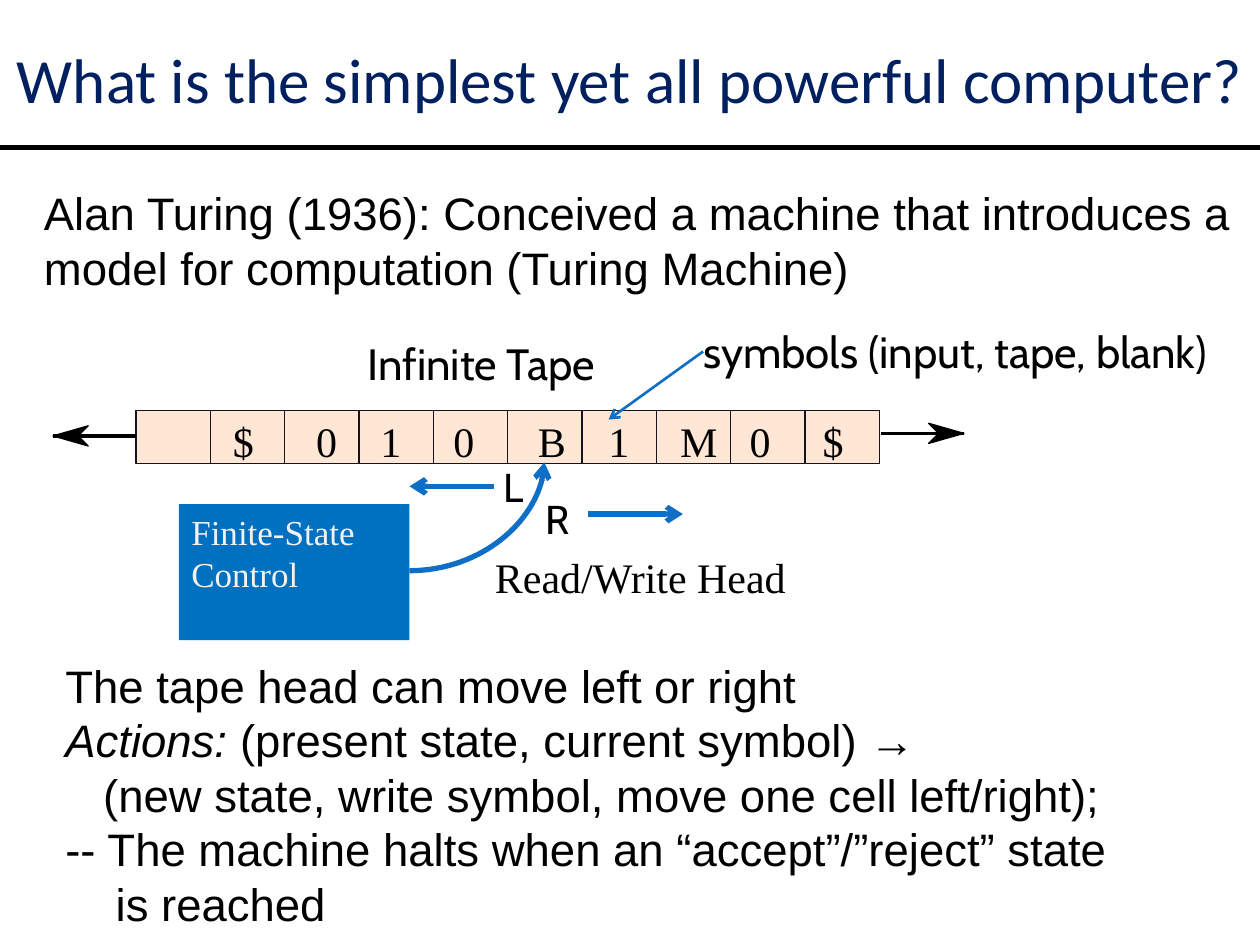
from lxml import etree
from pptx import Presentation
from pptx.dml.color import RGBColor
from pptx.enum.shapes import MSO_CONNECTOR, MSO_SHAPE
from pptx.enum.text import MSO_ANCHOR, PP_ALIGN
from pptx.oxml.ns import qn
from pptx.util import Inches, Pt

STRAIGHT, CURVE = MSO_CONNECTOR.STRAIGHT, MSO_CONNECTOR.CURVE
RECTANGLE = MSO_SHAPE.RECTANGLE
LEFT, CENTER, JUSTIFY = PP_ALIGN.LEFT, PP_ALIGN.CENTER, PP_ALIGN.JUSTIFY
TOP, MIDDLE = MSO_ANCHOR.TOP, MSO_ANCHOR.MIDDLE

COLORS = {
    "title": "002060", "text": "000000", "control": "0070C0", "control_text": "F2F2F2",
    "white": "FFFFFF", "arrow": "0F6FC6", "cell": "FFE6D5", "cell_line": "15111D",
}

# Content
TITLE = "What is the simplest yet all powerful computer?"
INTRO = ("Alan Turing (1936): Conceived a machine that introduces "
         "a model for computation (Turing Machine)")
# Tape symbols with the left edge of each
SYMBOLS = [("$", 1.85), ("0", 2.51), ("1", 3.02), ("0", 3.6), ("B", 4.27),
           ("1", 4.83), ("M", 5.4), ("0", 5.95), ("$", 6.53)]
# Labels: text, left, top, width, height, size
LABELS = [
    ("L", 4, 3.67, 0.33, 0.44, 23),
    ("R", 4.33, 3.92, 0.39, 0.44, 23),
    ("Infinite Tape", 2.92, 2.67, 1.88, 0.42, 25),
    ("symbols (input, tape, blank)", 5.58, 2.58, 4.29, 0.42, 25),
]
# Rules: indent, then runs of (text, italic)
RULES = [
    (0, [("The tape head can move left or right", False)]),
    (0, [("Actions: ", True), ("(present state, current symbol) →", False)]),
    (0.3, [("(new state, write symbol, move one cell left/right);", False)]),
    (0, [("-- The machine halts when an “accept”/”reject” state", False)]),
    (0.4, [("is reached", False)]),
]
# Arrows: kind, from, to, width
ARROWS = [
    (CURVE, (3.25, 4.53), (4.32, 3.67), 3),
    (STRAIGHT, (4.67, 4.08), (5.42, 4.08), 3),
    (STRAIGHT, (3.92, 3.86), (3.25, 3.86), 3),
    (STRAIGHT, (5.58, 2.79), (4.83, 3.33), 1.5),
]
# Tape ends: start, tip, height, direction
TAPE_ENDS = [(6.99, 7.65, 3.44, 1), (1.08, 0.42, 3.46, -1)]
CELL_COUNT, CELL_LEFT, CELL_TOP, CELL_WIDTH, CELL_HEIGHT = 10, 1.08, 3.26, 0.59, 0.42

deck = Presentation()
deck.slide_width, deck.slide_height = Inches(10), Inches(7.5)
page = deck.slides.add_slide(deck.slide_layouts[6])


def color(name):
    return RGBColor.from_string(COLORS[name])


def style_font(para, font, size, name="text"):
    para.font.name, para.font.size = font, Pt(size)
    para.font.color.rgb = color(name)


def write(shape, text, font, size, name="text", align=LEFT, anchor=TOP):
    frame = shape.text_frame
    frame.word_wrap, frame.vertical_anchor = True, anchor
    para = frame.paragraphs[0]
    para.text, para.alignment = text, align
    style_font(para, font, size, name)
    return frame


def add_box(left, top, width, height):
    return page.shapes.add_textbox(*map(Inches, (left, top, width, height)))


def add_block(left, top, width, height, fill, line=None):
    block = page.shapes.add_shape(RECTANGLE, *map(Inches, (left, top, width, height)))
    paint(block, fill, line)
    return block


def paint(shape, fill, line=None):
    shape.shadow.inherit = False
    shape.fill.solid()
    shape.fill.fore_color.rgb = color(fill)
    if line:
        shape.line.color.rgb, shape.line.width = color(line), Pt(0)
    else:
        shape.line.fill.background()


def add_line(start, end, width, name="text", kind=STRAIGHT, arrow=False):
    line = page.shapes.add_connector(kind, *map(Inches, start + end))
    line.line.color.rgb, line.line.width = color(name), Pt(width)
    properties = line._element.spPr
    if kind == CURVE:
        properties.find(qn("a:prstGeom")).set("prst", "curvedConnector2")
    if arrow:
        etree.SubElement(properties.find(qn("a:ln")), qn("a:tailEnd"), type="arrow")
    etree.SubElement(properties, qn("a:effectLst"))


# Title and introduction
write(add_box(0, 0, 10, 1.25), TITLE, "Calibri", 36, "title", CENTER, MIDDLE)
add_line((0, 1.17), (10, 1.17), 3)
write(add_box(0.25, 1.42, 9.75, 1), INTRO, "Arial", 26)

# Control and head
write(add_block(1.42, 4, 1.83, 1.08, "control"), "Finite-State Control",
      "Times New Roman", 20, "control_text")
write(add_block(3.83, 4.33, 3, 0.51, "white"), "Read/Write Head", "Times New Roman", 24)

# Tape cells
for index in range(CELL_COUNT):
    add_block(CELL_LEFT + index * CELL_WIDTH, CELL_TOP, CELL_WIDTH, CELL_HEIGHT,
              "cell", "cell_line")

# Endless tape ends with barbed heads
for start, tip, y, direction in TAPE_ENDS:
    add_line((start, y), (tip, y), 0)
    notch, barb = tip - 0.2 * direction, tip - 0.28 * direction
    builder = page.shapes.build_freeform(Inches(notch), Inches(y))
    corners = [(barb, y + 0.08), (tip, y), (barb, y - 0.08)]
    builder.add_line_segments([(Inches(x), Inches(v)) for x, v in corners], close=True)
    paint(builder.convert_to_shape(), "text", "text")

# Tape symbols, each at its own tab stop
tape = add_box(1.75, 3.25, 5.25, 0.51)
first_left = SYMBOLS[0][1]
tape_properties = tape.text_frame.paragraphs[0]._p.get_or_add_pPr()
stops = etree.SubElement(tape_properties, qn("a:tabLst"))
for _, left in SYMBOLS[1:]:
    etree.SubElement(stops, qn("a:tab"), pos=str(Inches(left - first_left)), algn="l")
write(tape, "\t".join(symbol for symbol, _ in SYMBOLS), "Times New Roman", 24)

# Labels and arrows
for text, left, top, width, height, size in LABELS:
    frame = write(add_box(left, top, width, height), text, "Cabin", size)
    frame.word_wrap = False
    frame.margin_left = frame.margin_right = frame.margin_top = frame.margin_bottom = 0
for kind, start, end, width in ARROWS:
    add_line(start, end, width, "arrow", kind, arrow=True)

# Rules of the machine
frame = add_box(0.42, 5.17, 9.58, 2.59).text_frame
frame.word_wrap = True
for index, (indent, runs) in enumerate(RULES):
    para = frame.add_paragraph() if index else frame.paragraphs[0]
    para.alignment = JUSTIFY
    para._p.get_or_add_pPr().set("marL", str(Inches(indent)))
    style_font(para, "Arial", 26)
    for text, italic in runs:
        span = para.add_run()
        span.text, span.font.italic = text, italic

deck.save("out.pptx")
